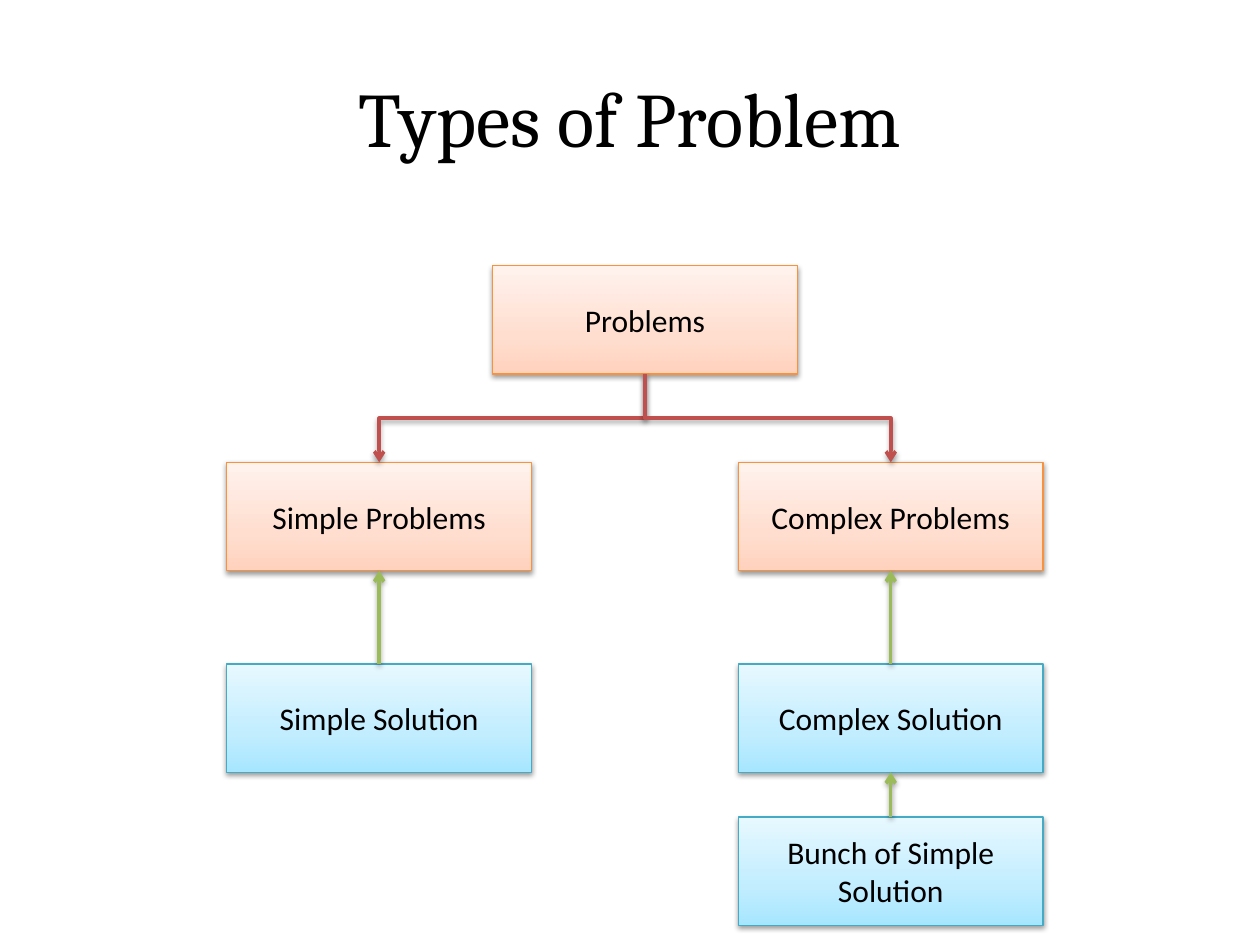
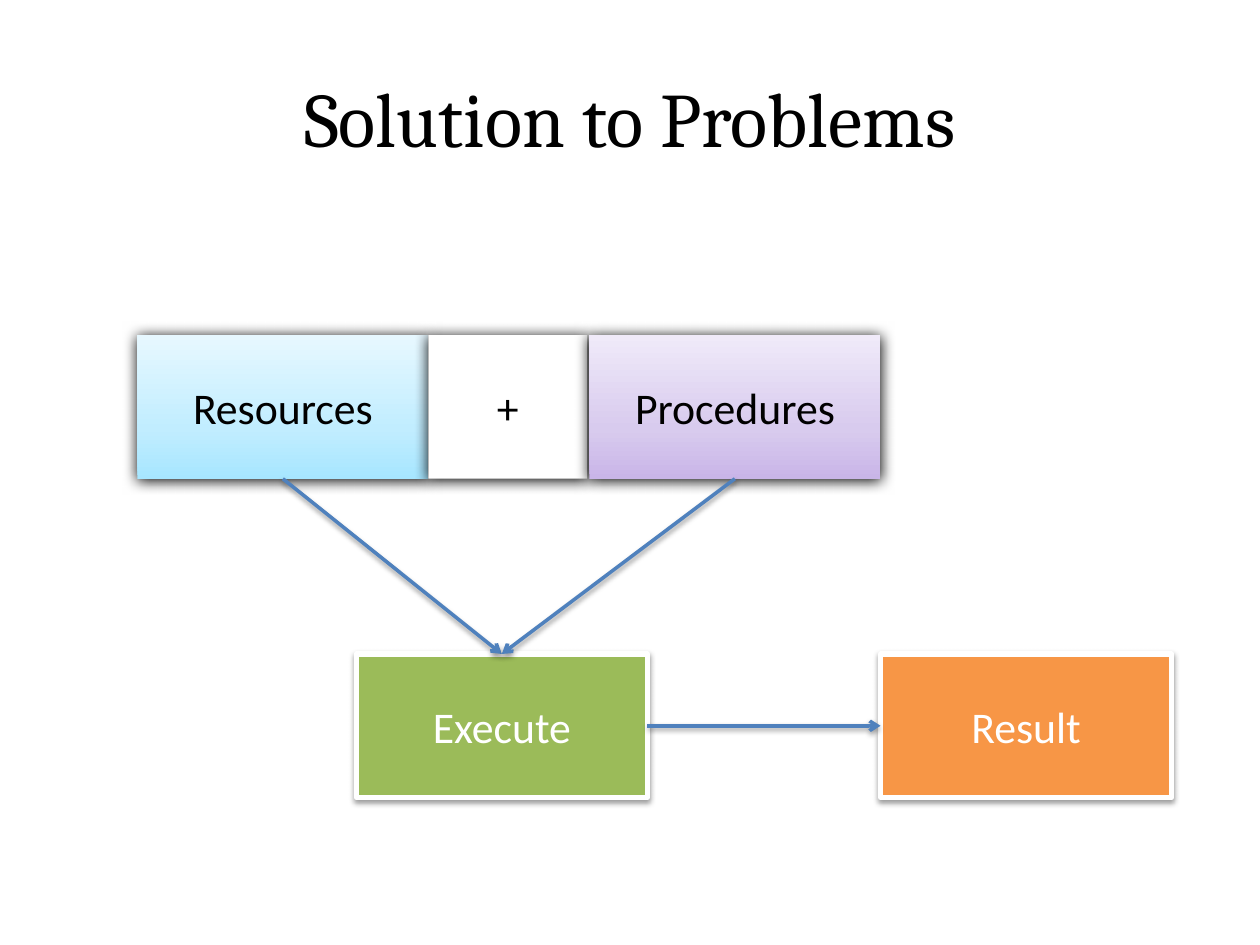
from copy import deepcopy

from lxml import etree
from pptx import Presentation
from pptx import util as u
from pptx.dml.color import RGBColor
from pptx.enum import shapes, text
from pptx.oxml import ns

Pt = u.Pt

# Colours
BLACK = RGBColor(0x00, 0x00, 0x00)
WHITE = RGBColor(0xFF, 0xFF, 0xFF)
RED = RGBColor(0xC0, 0x50, 0x4D)
GREEN = RGBColor(0x9B, 0xBB, 0x59)
BLUE = RGBColor(0x4F, 0x81, 0xBD)
ORANGE = RGBColor(0xF7, 0x96, 0x46)
ORANGE_EDGE = RGBColor(0xF6, 0x92, 0x40)
AQUA_EDGE = RGBColor(0x46, 0xAA, 0xC5)

# Gradients run from the bottom up
STOPS = (0, 0.35, 1)
PEACH = (RGBColor(0xFF, 0xD2, 0xBD), RGBColor(0xFF, 0xDE, 0xD0), RGBColor(0xFF, 0xF2, 0xED))
AQUA = (RGBColor(0xA7, 0xE6, 0xFF), RGBColor(0xC1, 0xED, 0xFF), RGBColor(0xE7, 0xF8, 0xFF))
LILAC = (RGBColor(0xC9, 0xB5, 0xE8), RGBColor(0xD8, 0xCB, 0xEE), RGBColor(0xF0, 0xEA, 0xF9))

# Shadows: blur, distance, opacity in percent
SOFT = (3.1, 1.6, 38)
DARK = (8.5, 1, 100)

# Box styles
PROBLEM = {"fill": PEACH, "edge": (ORANGE_EDGE, 0.75), "font_size": 18}
SOLUTION = {"fill": AQUA, "edge": (AQUA_EDGE, 0.75), "font_size": 18}
RESOURCE = {"fill": AQUA, "shadow": DARK}
PLUS = {"fill": WHITE, "shadow": DARK}
PROCEDURE = {"fill": LILAC, "shadow": DARK}
EXECUTE = {"fill": GREEN, "edge": (WHITE, 3), "color": WHITE}
RESULT = {"fill": ORANGE, "edge": (WHITE, 3), "color": WHITE}

TOP, LEFT, BOTTOM, RIGHT = range(4)


def add_shadow(element, shadow):
    """Cast a shadow straight down."""
    blur, distance, opacity = shadow
    effects = element.spPr.find(ns.qn("a:effectLst"))
    if effects is None:
        effects = etree.SubElement(element.spPr, ns.qn("a:effectLst"))
    outer = etree.SubElement(effects, ns.qn("a:outerShdw"), blurRad=str(Pt(blur)),
                             dist=str(Pt(distance)), dir="5400000", rotWithShape="0")
    color = etree.SubElement(outer, ns.qn("a:srgbClr"), val=str(BLACK))
    etree.SubElement(color, ns.qn("a:alpha"), val=str(opacity * 1000))


def write(shape, words, name, size, color):
    """Put one centred paragraph in the middle of a shape."""
    frame = shape.text_frame
    frame.word_wrap = True
    frame.vertical_anchor = text.MSO_ANCHOR.MIDDLE
    para = frame.paragraphs[0]
    para.alignment = text.PP_ALIGN.CENTER
    span = para.add_run()
    span.text = words
    for key, value in {"name": name, "size": Pt(size)}.items():
        setattr(span.font, key, value)
    span.font.color.rgb = color


def add_page(deck, heading):
    page = deck.slides.add_slide(deck.slide_layouts[5])
    title = page.shapes.title
    place = {"left": 36, "top": 21.6, "width": 648, "height": 90}
    for key, value in place.items():
        setattr(title, key, Pt(value))
    write(title, heading, "Cambria", 44, BLACK)
    return page


def fill_gradient(shape, colors):
    shape.fill.gradient()
    shape.fill.gradient_angle = 90
    stop_list = shape._element.spPr.find(".//" + ns.qn("a:gsLst"))
    stop_list.append(deepcopy(stop_list[0]))
    for stop, position, color in zip(shape.fill.gradient_stops, STOPS, colors):
        stop.position = position
        stop.color.rgb = color


def add_box(page, words, left, top, size, fill, edge=None, shadow=SOFT,
            color=BLACK, font_size=25):
    box = page.shapes.add_shape(shapes.MSO_SHAPE.RECTANGLE, Pt(left), Pt(top),
                                Pt(size[0]), Pt(size[1]))
    if isinstance(fill, RGBColor):
        box.fill.solid()
        box.fill.fore_color.rgb = fill
    else:
        fill_gradient(box, fill)
    if edge:
        box.line.color.rgb, box.line.width = edge[0], Pt(edge[1])
    else:
        box.line.fill.background()
    box.shadow.inherit = False
    add_shadow(box._element, shadow)
    write(box, words, "Calibri", font_size, color)
    return box


def finish_arrow(arrow, color):
    arrow.line.color.rgb = color
    arrow.line.width = Pt(2)
    line = arrow._element.spPr.find(ns.qn("a:ln"))
    etree.SubElement(line, ns.qn("a:tailEnd"), type="arrow")
    add_shadow(arrow._element, SOFT)


def add_arrow(page, start, start_side, end, end_side, color):
    arrow = page.shapes.add_connector(shapes.MSO_CONNECTOR.STRAIGHT, 0, 0, 0, 0)
    arrow.begin_connect(start, start_side)
    arrow.end_connect(end, end_side)
    finish_arrow(arrow, color)


def add_branch(page, parent, child, color):
    """Elbow from the parent's bottom to the child's top, turned to run down."""
    start_x, start_y = parent.left + parent.width // 2, parent.top + parent.height
    end_x, end_y = child.left + child.width // 2, child.top
    center_x, center_y = (start_x + end_x) // 2, (start_y + end_y) // 2
    half_run, half_drop = abs(end_x - start_x) // 2, (end_y - start_y) // 2
    turn, lean = (90, -half_drop) if end_x < start_x else (270, half_drop)
    branch = page.shapes.add_connector(
        shapes.MSO_CONNECTOR.ELBOW, center_x + lean, center_y - half_run,
        center_x - lean, center_y + half_run)
    branch._element.spPr.find(ns.qn("a:xfrm")).set("rot", str(turn * 60000))
    finish_arrow(branch, color)


def build_types(deck):
    page = add_page(deck, "Types of Problem")
    size = (174.2, 61.9)
    simple_x, complex_x = 129.6, 421.9
    problem_y, solution_y = 264.2, 379.4

    # Tree of boxes
    root = add_box(page, "Problems", 281.5, 151.9, size, **PROBLEM)
    simple = add_box(page, "Simple Problems", simple_x, problem_y, size, **PROBLEM)
    hard = add_box(page, "Complex Problems", complex_x, problem_y, size, **PROBLEM)
    simple_answer = add_box(page, "Simple Solution", simple_x, solution_y, size, **SOLUTION)
    hard_answer = add_box(page, "Complex Solution", complex_x, solution_y, size, **SOLUTION)
    bunch = add_box(page, "Bunch of Simple Solution", complex_x, 466.8, size, **SOLUTION)

    # Branches down, solutions up
    for child in (simple, hard):
        add_branch(page, root, child, RED)
    for lower, upper in ((simple_answer, simple), (hard_answer, hard), (bunch, hard_answer)):
        add_arrow(page, lower, TOP, upper, BOTTOM, GREEN)


def build_solution(deck):
    page = add_page(deck, "Solution to Problems")
    size = (166.3, 82.1)
    input_y, output_y = 191.5, 373.7

    # Inputs, then the steps they lead to
    resources = add_box(page, "Resources", 78.5, input_y, size, **RESOURCE)
    add_box(page, "+", 244.8, input_y, (90.7, size[1]), **PLUS)
    procedures = add_box(page, "Procedures", 336.8, input_y, size, **PROCEDURE)
    execute = add_box(page, "Execute", 203.6, output_y, size, **EXECUTE)
    result = add_box(page, "Result", 503.2, output_y, size, **RESULT)

    for source in (resources, procedures):
        add_arrow(page, source, BOTTOM, execute, TOP, BLUE)
    add_arrow(page, execute, RIGHT, result, LEFT, BLUE)


def main():
    deck = Presentation()
    deck.slide_width, deck.slide_height = Pt(720), Pt(540)
    build_types(deck)
    build_solution(deck)
    deck.save("out.pptx")


if __name__ == "__main__":
    main()
